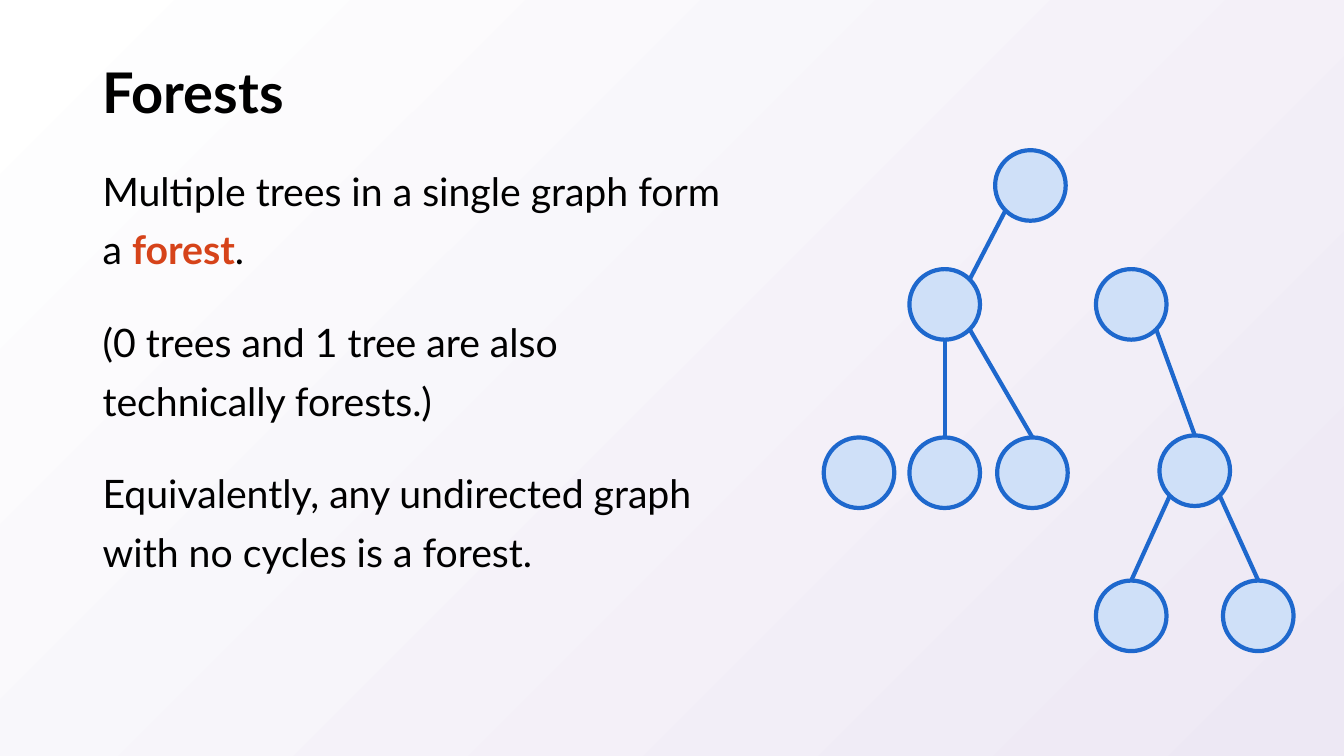
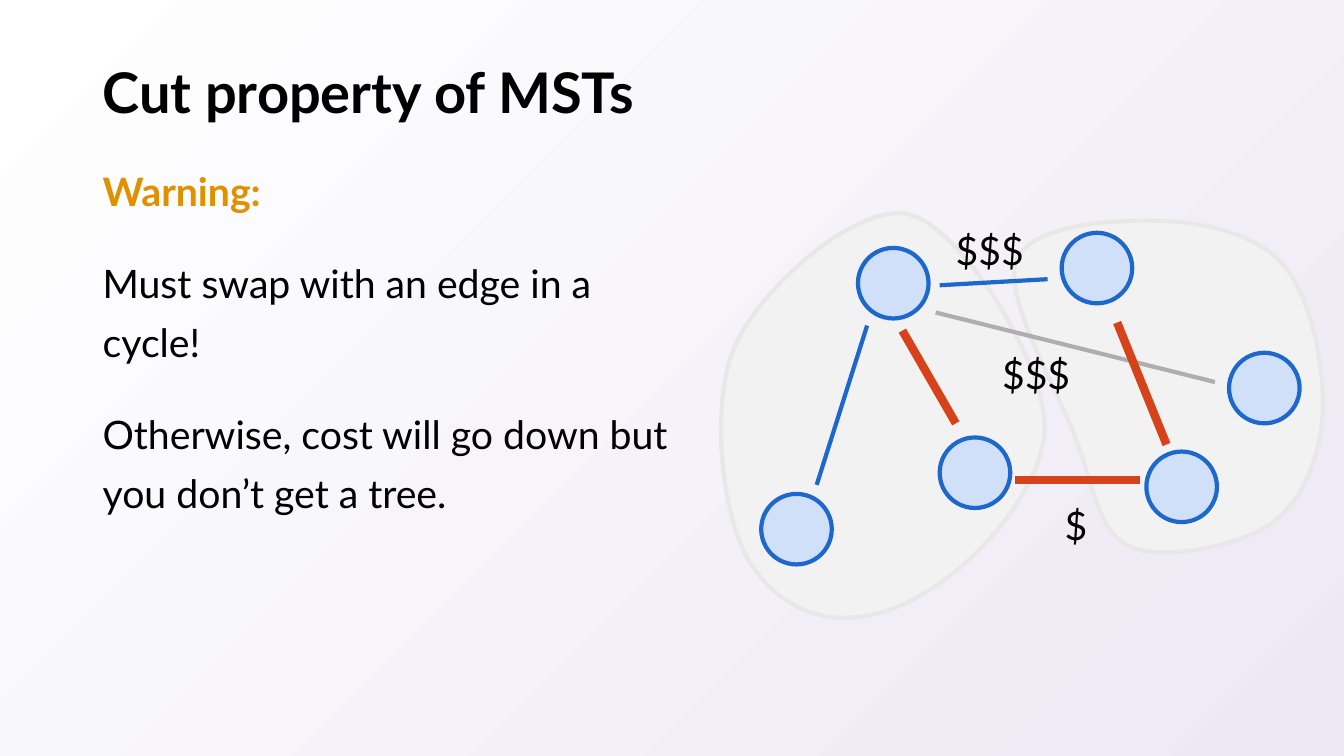
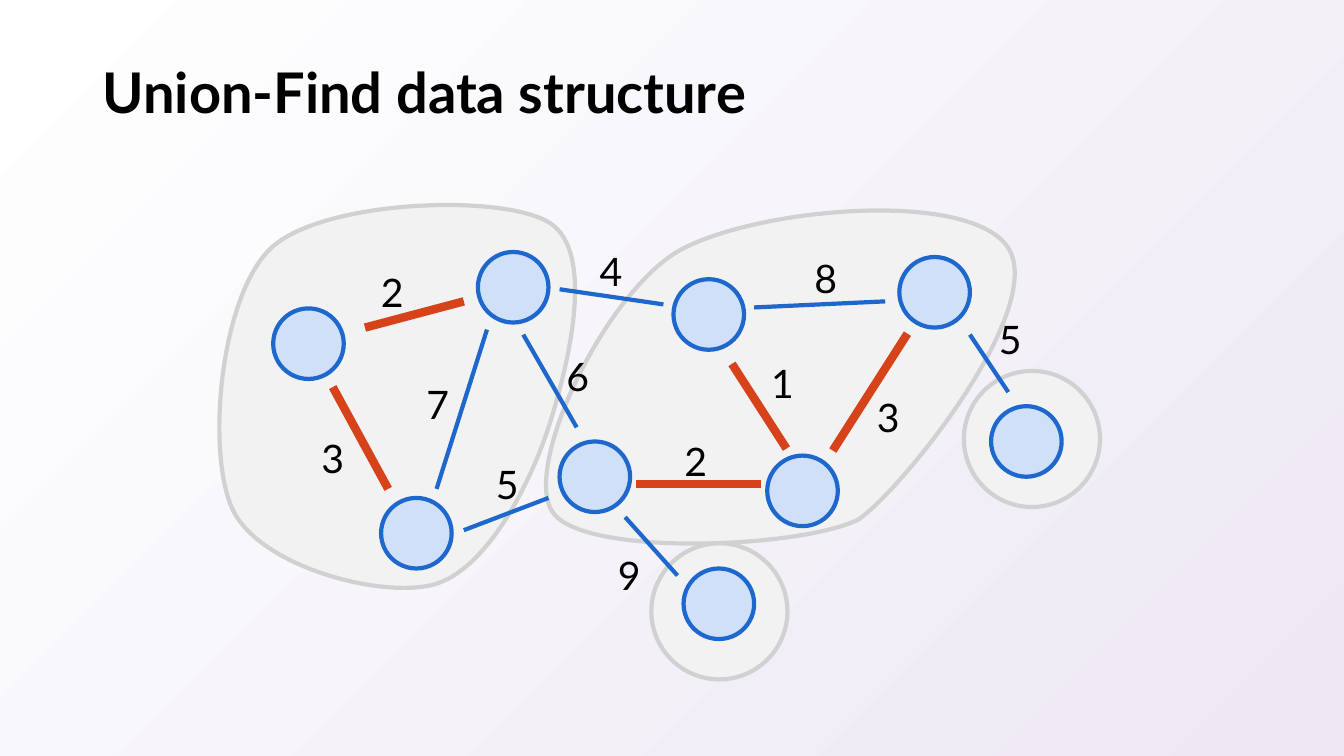
from dataclasses import dataclass
from math import sqrt

from lxml.etree import SubElement
from pptx import Presentation
from pptx.dml.color import RGBColor
from pptx.enum.shapes import MSO_CONNECTOR, MSO_SHAPE
from pptx.enum.text import MSO_ANCHOR, MSO_AUTO_SIZE
from pptx.oxml.ns import qn
from pptx.util import Inches, Pt


@dataclass(frozen=True)
class Theme:
    font: str = "Lato"
    title_size: int = 40
    body_size: int = 28
    text: str = "000000"
    accent: str = "D6431A"
    warning: str = "E09000"
    node_fill: str = "CFE0F8"
    node_line: str = "1E68CD"
    muted: str = "AEAEAE"
    group_fill: str = "F2F2F2"
    group_line: str = "D1D1D1"
    group_line_light: str = "E8E8E8"
    bg_start: str = "FFFFFF"
    bg_end: str = "EDE8F4"
    line: int = 3
    thick_line: int = 6
    paragraph_gap: int = 24
    line_spacing: float = 1.25


T = Theme()
NODE = 0.7
HALO = 1.35
DIAGONAL = 1 / sqrt(2)
TOP, BOTTOM = (0, -1), (0, 1)
TOP_RIGHT = (DIAGONAL, -DIAGONAL)
BOTTOM_LEFT, BOTTOM_RIGHT = (-DIAGONAL, DIAGONAL), (DIAGONAL, DIAGONAL)


def rgb(color):
    return RGBColor.from_string(color)


def set_background(prs):
    fill = prs.slide_master.background.fill
    fill.gradient()
    fill.gradient_angle = 315
    for stop, color in zip(fill.gradient_stops, (T.bg_start, T.bg_end)):
        stop.color.rgb = rgb(color)


def style_shape(sp, fill, line):
    sp.shadow.inherit = False
    sp.fill.solid()
    sp.fill.fore_color.rgb = rgb(fill)
    sp.line.color.rgb = rgb(line)
    sp.line.width = Pt(T.line)


def style_paragraph(p, size, spacing, bold=False):
    p.line_spacing = spacing
    p.font.name = T.font
    p.font.size = Pt(size)
    p.font.bold = bold
    p.font.color.rgb = rgb(T.text)


def add_text_frame(slide, x, y, w, h, wrap=True):
    tf = slide.shapes.add_textbox(Inches(x), Inches(y), Inches(w), Inches(h)).text_frame
    tf.word_wrap = wrap
    return tf


def add_titled_slide(prs, title):
    slide = prs.slides.add_slide(prs.slide_layouts[6])
    tf = add_text_frame(slide, 0.92, 0.4, 11.5, 1.09)
    tf.vertical_anchor = MSO_ANCHOR.MIDDLE
    p = tf.paragraphs[0]
    p.text = title
    style_paragraph(p, T.title_size, 0.9, bold=True)
    return slide


def add_body(slide, width, paragraphs):
    """Each paragraph is a list of (text, highlight colour or None) runs."""
    tf = add_text_frame(slide, 0.92, 1.49, width, 5.26)
    for i, runs in enumerate(paragraphs):
        p = tf.add_paragraph() if i else tf.paragraphs[0]
        style_paragraph(p, T.body_size, T.line_spacing)
        p.space_before = Pt(T.paragraph_gap)
        for text, highlight in runs:
            r = p.add_run()
            r.text = text
            if highlight:
                r.font.bold = True
                r.font.color.rgb = rgb(highlight)


def add_labels(slide, labels, width=0.43):
    for text, x, y in labels:
        tf = add_text_frame(slide, x, y, width, 0.63, wrap=False)
        tf.auto_size = MSO_AUTO_SIZE.SHAPE_TO_FIT_TEXT
        p = tf.paragraphs[0]
        p.text = text
        style_paragraph(p, T.body_size, T.line_spacing)
        p.space_before = Pt(T.paragraph_gap)


def add_circles(slide, corners, size, fill, line):
    for x, y in corners:
        sp = slide.shapes.add_shape(
            MSO_SHAPE.OVAL, Inches(x), Inches(y), Inches(size), Inches(size))
        style_shape(sp, fill, line)


def add_nodes(slide, corners):
    add_circles(slide, corners, NODE, T.node_fill, T.node_line)


def add_edges(slide, edges, color=T.node_line, width=T.line):
    """Each edge is (x1, y1, x2, y2)."""
    for edge in edges:
        line = slide.shapes.add_connector(MSO_CONNECTOR.STRAIGHT, *map(Inches, edge))
        line.line.color.rgb = rgb(color)
        line.line.width = Pt(width)
        SubElement(line._element.spPr, qn("a:effectLst"))


def add_chosen_edges(slide, edges):
    add_edges(slide, edges, T.accent, T.thick_line)


def rim_point(corner, direction):
    """Point on a node's rim, in the direction of a unit vector."""
    return tuple(c + NODE / 2 * (1 + d) for c, d in zip(corner, direction))


def bezier_points(start, curves, steps=24):
    """Sample cubic curves, each (control 1, control 2, end)."""
    points = []
    for c1, c2, end in curves:
        for i in range(1, steps + 1):
            t = i / steps
            u = 1 - t
            points.append(tuple(
                u**3 * a + 3 * u * u * t * b + 3 * u * t * t * c + t**3 * d
                for a, b, c, d in zip(start, c1, c2, end)))
        start = end
    return points


def add_blob(slide, curves, line):
    """Closed smooth outline that starts where its last curve ends.

    Sampled points give the freeform its exact bounds; its segments
    are then replaced by the cubic curves themselves.
    """
    start = curves[-1][-1]
    builder = slide.shapes.build_freeform(*map(Inches, start))
    builder.add_line_segments(
        [(Inches(x), Inches(y)) for x, y in bezier_points(start, curves)], close=True)
    sp = builder.convert_to_shape()
    outline = sp._element.find(".//" + qn("a:path"))
    for segment in list(outline)[1:]:
        outline.remove(segment)
    for curve in curves:
        cubic = SubElement(outline, qn("a:cubicBezTo"))
        for x, y in curve:
            SubElement(cubic, qn("a:pt"),
                       x=str(Inches(x) - sp.left), y=str(Inches(y) - sp.top))
    SubElement(outline, qn("a:close"))
    style_shape(sp, T.group_fill, line)


def build_forests(prs):
    slide = add_titled_slide(prs, "Forests")
    add_body(slide, 6.5, [
        [("Multiple trees in a single graph form a ", None), ("forest", T.accent), (".", None)],
        [("(0 trees and 1 tree are also technically forests.)", None)],
        [("Equivalently, any undirected graph with no cycles is a forest.", None)],
    ])
    root_a, parent_a = (9.87, 1.49), (9.02, 2.67)
    single, leaf_a1, leaf_a2 = (8.17, 4.34), (9.02, 4.34), (9.89, 4.34)
    root_b, parent_b = (10.87, 2.67), (11.5, 4.32)
    leaf_b1, leaf_b2 = (10.87, 5.76), (12.13, 5.76)
    add_nodes(slide, [root_a, parent_a, root_b, single, leaf_a1, leaf_a2,
                      parent_b, leaf_b1, leaf_b2])
    links = [
        (root_a, BOTTOM_LEFT, parent_a, TOP_RIGHT),
        (parent_a, BOTTOM, leaf_a1, TOP),
        (parent_a, BOTTOM_RIGHT, leaf_a2, TOP),
        (root_b, BOTTOM_RIGHT, parent_b, TOP),
        (parent_b, BOTTOM_LEFT, leaf_b1, TOP),
        (parent_b, BOTTOM_RIGHT, leaf_b2, TOP),
    ]
    add_edges(slide, [rim_point(a, out) + rim_point(b, into) for a, out, b, into in links])


def build_cut_property(prs):
    slide = add_titled_slide(prs, "Cut property of MSTs")
    add_body(slide, 5.91, [
        [("Warning:", T.warning)],
        [("Must swap with an edge in a cycle!", None)],
        [("Otherwise, cost will go down but you don’t get a tree.", None)],
    ])
    right_side = [
        ((10.99, 2.18), (10.21, 2.24), (10.08, 2.59)),
        ((9.95, 2.95), (10.47, 3.83), (10.65, 4.3)),
        ((10.84, 4.77), (10.88, 5.27), (11.2, 5.42)),
        ((11.53, 5.57), (12.28, 5.42), (12.6, 5.2)),
        ((12.92, 4.98), (13.1, 4.52), (13.12, 4.09)),
        ((13.14, 3.66), (13.01, 2.94), (12.72, 2.62)),
        ((12.44, 2.3), (11.87, 2.19), (11.43, 2.19)),
    ]
    left_side = [
        ((7.56, 2.84), (8.52, 1.99), (9.03, 2.13)),
        ((9.54, 2.27), (10.39, 3.62), (10.36, 4.27)),
        ((10.33, 4.92), (9.53, 5.8), (8.85, 6.04)),
        ((8.18, 6.29), (7.68, 5.99), (7.42, 5.55)),
        ((7.16, 5.11), (7.03, 3.98), (7.3, 3.41)),
    ]
    for side in (right_side, left_side):
        add_blob(slide, side, T.group_line_light)
    add_nodes(slide, [(8.51, 2.46), (9.32, 4.34), (12.19, 3.5),
                      (11.37, 4.48), (7.55, 4.9), (10.53, 2.31)])
    add_edges(slide, [(9.28, 3.1, 12.05, 3.79)], T.muted)
    add_edges(slide, [(8.1, 4.81, 8.6, 3.23), (9.32, 2.83, 10.39, 2.77)])
    add_chosen_edges(slide, [(9.48, 4.2, 8.95, 3.28), (10.07, 4.76, 11.31, 4.76),
                             (11.57, 4.41, 11.08, 3.2)])
    add_labels(slide, [("$", 10.46, 4.81)])
    add_labels(slide, [("$$$", 9.38, 2.08), ("$$$", 9.84, 3.31)], width=0.89)


def build_union_find(prs):
    slide = add_titled_slide(prs, "Union-Find data structure")
    right_set = [
        ((5.98, 2.93), (5.18, 4.64), (5.48, 5.08)),
        ((5.78, 5.53), (7.96, 5.44), (8.52, 5.15)),
        ((8.97, 4.83), (10.38, 3.06), (10, 2.46)),
        ((9.62, 1.87), (7.49, 2.06), (6.73, 2.49)),
    ]
    left_set = [
        ((3.23, 1.98), (4.99, 1.92), (5.45, 2.21)),
        ((5.91, 2.5), (5.64, 3.61), (5.45, 4.21)),
        ((5.26, 4.81), (4.82, 5.66), (4.3, 5.8)),
        ((3.77, 5.94), (2.58, 5.62), (2.31, 5.06)),
        ((2.04, 4.5), (2.18, 2.92), (2.7, 2.45)),
    ]
    add_circles(slide, [(9.56, 3.68), (6.46, 5.39)], HALO, T.group_fill, T.group_line)
    for node_set in (right_set, left_set):
        add_blob(slide, node_set, T.group_line)
    add_nodes(slide, [(4.74, 2.5), (2.71, 3.06), (5.55, 4.38), (8.92, 2.55), (7.61, 4.52),
                      (3.78, 4.94), (6.78, 5.64), (6.68, 2.77), (9.83, 4.03)])
    add_edges(slide, [
        (4.6, 5.26, 5.44, 4.94), (5.55, 2.87, 6.58, 3.02), (5.72, 4.24, 5.19, 3.32),
        (7.48, 3.05, 8.78, 2.99), (6.2, 5.13, 6.72, 5.71), (9.62, 3.32, 10, 3.89),
        (4.33, 4.85, 4.83, 3.27),
    ])
    add_chosen_edges(slide, [
        (3.62, 3.25, 4.6, 2.99), (3.3, 3.84, 3.85, 4.85), (6.31, 4.8, 7.55, 4.8),
        (8.26, 4.47, 9, 3.31), (7.8, 4.45, 7.26, 3.61),
    ])
    add_labels(slide, [
        ("3", 3.09, 4.14), ("2", 3.68, 2.5), ("7", 4.13, 3.61), ("9", 6.03, 5.3),
        ("5", 4.82, 4.4), ("6", 5.52, 3.33), ("4", 5.85, 2.29), ("1", 7.55, 3.4),
        ("3", 8.6, 3.74), ("5", 9.81, 2.96), ("8", 7.98, 2.36), ("2", 6.69, 4.17),
    ])


def main():
    prs = Presentation()
    prs.slide_width, prs.slide_height = Inches(13.33), Inches(7.5)
    set_background(prs)
    build_forests(prs)
    build_cut_property(prs)
    build_union_find(prs)
    prs.save("out.pptx")


if __name__ == "__main__":
    main()
